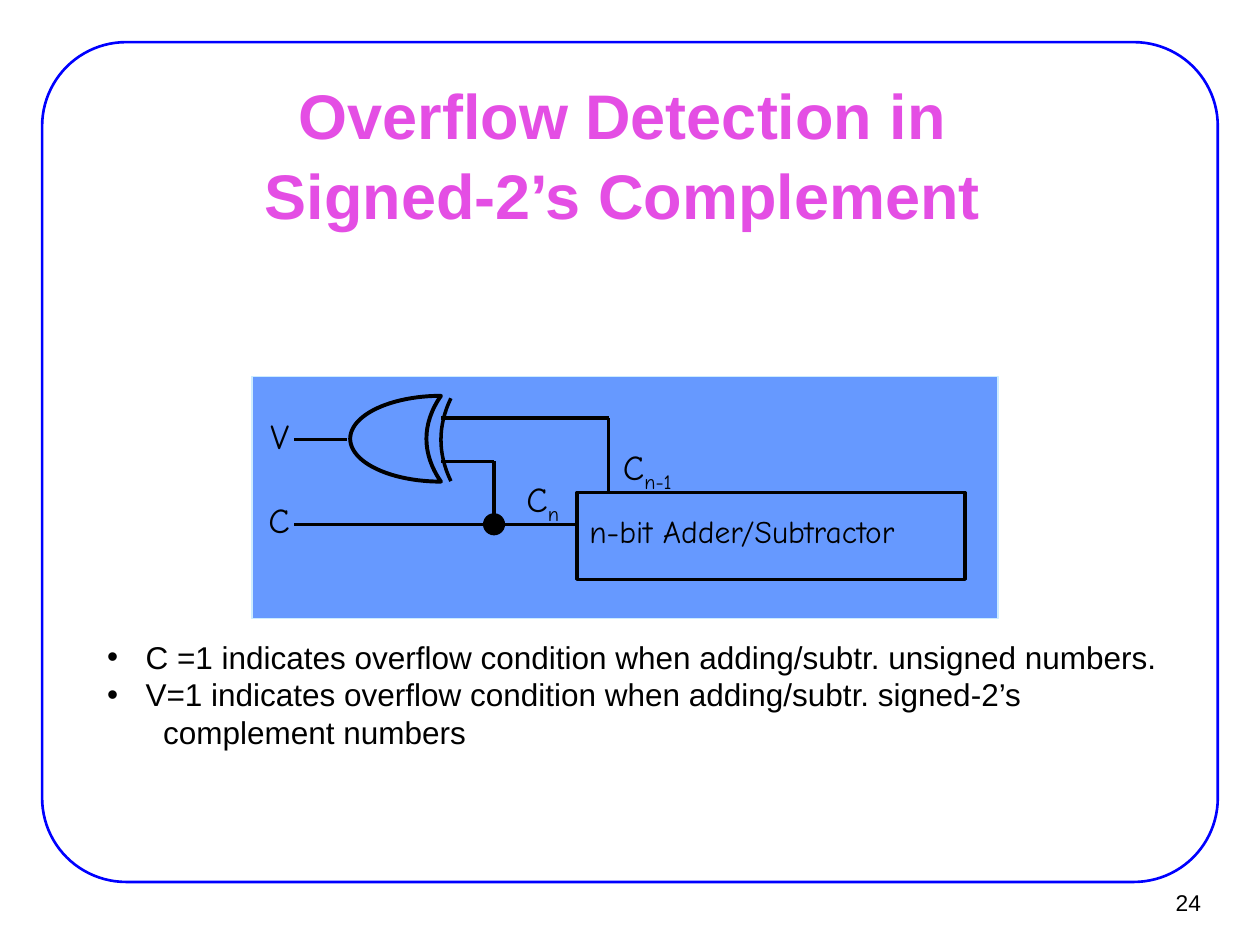
from lxml import etree
from pptx import Presentation
from pptx import util as u
from pptx.dml.color import RGBColor
from pptx.enum import shapes, text
from pptx.oxml import ns

BLACK = RGBColor(0x00, 0x00, 0x00)
BLUE = RGBColor(0x00, 0x00, 0xFF)
PANEL_BLUE = RGBColor(0x66, 0x99, 0xFF)
PALE_BLUE = RGBColor(0xCC, 0xEC, 0xFF)
PINK = RGBColor(0xE4, 0x4E, 0xE4)

BODY_FONT = "Arial"
DIAGRAM_FONT = "Comic Neue"

TOP_WIRE, LOW_WIRE, OUTPUT_WIRE, CARRY_WIRE = 8.43, 9.3, 8.86, 10.57
GATE_INPUT, LABEL_END, JUNCTION, ADDER_TAP = 8.89, 5.92, 9.96, 12.27
ADDER_LEFT, ADDER_TOP = 11.63, 9.93


def place(shape, left, top, width, height):
    box = {"left": left, "top": top, "width": width, "height": height}
    for name, value in box.items():
        setattr(shape, name, u.Cm(value))


def format_font(font, size, name=BODY_FONT, color=BLACK, bold=False):
    for key, value in {"size": u.Pt(size), "name": name, "bold": bold}.items():
        setattr(font, key, value)
    font.color.rgb = color


def style_line(shape, color, width):
    shape.line.color.rgb = color
    shape.line.width = u.Pt(width)


def add_preset(slide, kind, box, line, fill=None, adjustment=None):
    shape = slide.shapes.add_shape(kind, *[u.Cm(value) for value in box])
    shape.shadow.inherit = False
    if fill is None:
        shape.fill.background()
    else:
        shape.fill.solid()
        shape.fill.fore_color.rgb = fill
    if adjustment is not None:
        shape.adjustments[0] = adjustment
    style_line(shape, *line)
    return shape


def add_wire(slide, *ends):
    wire = slide.shapes.add_connector(
        shapes.MSO_CONNECTOR.STRAIGHT, *[u.Cm(value) for value in ends])
    style_line(wire, BLACK, 2)
    etree.SubElement(wire._element.spPr, ns.qn("a:effectLst"))


def add_gate_arc(slide):
    left, right, top, bottom, steps = 8.89, 9.09, 8.03, 9.7, 16
    points = []
    for step in range(steps + 1):
        across = 2 * step / steps - 1
        points.append((u.Cm(left + (right - left) * across ** 2),
                       u.Cm(top + (bottom - top) * step / steps)))
    builder = slide.shapes.build_freeform(*points[0])
    builder.add_line_segments(points[1:], close=False)
    arc = builder.convert_to_shape()
    arc.shadow.inherit = False
    arc.fill.background()
    style_line(arc, BLACK, 2)


def add_label(slide, box, wording, size, font=DIAGRAM_FONT, subscript="", wrap=False):
    label = slide.shapes.add_textbox(*[u.Cm(value) for value in box])
    label.text_frame.word_wrap = wrap
    paragraph = label.text_frame.paragraphs[0]
    for part in filter(None, (wording, subscript)):
        run = paragraph.add_run()
        run.text = part
        format_font(run.font, size, font)
    if subscript:
        run.font._element.set("baseline", "-25000")
    return label


def add_title(slide):
    title = slide.shapes.title
    place(title, 1.93, 1.75, 21.59, 2.64)
    frame = title.text_frame
    settings = {"word_wrap": True, "auto_size": text.MSO_AUTO_SIZE.NONE,
                "vertical_anchor": text.MSO_ANCHOR.MIDDLE}
    for name, value in settings.items():
        setattr(frame, name, value)
    paragraph = frame.paragraphs[0]
    paragraph.text = "Overflow Detection in \vSigned-2’s Complement "
    paragraph.alignment = text.PP_ALIGN.CENTER
    paragraph.line_spacing = 1.05
    for run in paragraph.runs:
        format_font(run.font, 36, color=PINK, bold=True)


def add_notes_list(slide):
    box = slide.shapes.add_textbox(u.Cm(1.91), u.Cm(12.73), u.Cm(23.29), u.Cm(2.54))
    frame = box.text_frame
    frame.word_wrap = True
    lines = [
        (" C =1 indicates overflow condition when adding/subtr. unsigned numbers.", True),
        (" V=1 indicates overflow condition when adding/subtr. signed-2’s", True),
        ("complement numbers", False),
    ]
    for index, (wording, bulleted) in enumerate(lines):
        paragraph = frame.add_paragraph() if index else frame.paragraphs[0]
        run = paragraph.add_run()
        run.text = wording
        format_font(run.font, 18)
        properties = paragraph._p.get_or_add_pPr()
        margin = u.Cm(0.6 if bulleted else 1.13)
        properties.set("marL", str(margin))
        properties.set("indent", str(-margin if bulleted else 0))
        if bulleted:
            etree.SubElement(properties, ns.qn("a:buFont"), typeface=BODY_FONT)
            etree.SubElement(properties, ns.qn("a:buChar"), char="•")
        else:
            etree.SubElement(properties, ns.qn("a:buNone"))


def add_circuit(slide):
    preset = shapes.MSO_SHAPE
    add_preset(slide, preset.RECTANGLE, (5.08, 7.59, 15.04, 4.88),
               (PALE_BLUE, 0.75), PANEL_BLUE)
    add_preset(slide, preset.RECTANGLE, (ADDER_LEFT, ADDER_TOP, 7.82, 1.75), (BLACK, 2))
    add_label(slide, (ADDER_LEFT, 10.19, 8.05, 1.14), "n-bit Adder/Subtractor", 18, wrap=True)
    add_preset(slide, preset.MOON, (7.06, 7.98, 1.83, 1.73), (BLACK, 2.25), adjustment=0.84)
    add_gate_arc(slide)
    wires = [
        (ADDER_TAP, TOP_WIRE, GATE_INPUT, TOP_WIRE),
        (ADDER_LEFT, CARRY_WIRE, LABEL_END, CARRY_WIRE),
        (ADDER_TAP, ADDER_TOP, ADDER_TAP, TOP_WIRE),
        (JUNCTION, CARRY_WIRE, JUNCTION, LOW_WIRE),
        (JUNCTION, LOW_WIRE, GATE_INPUT, LOW_WIRE),
        (6.99, OUTPUT_WIRE, LABEL_END, OUTPUT_WIRE),
    ]
    for wire in wires:
        add_wire(slide, *wire)
    dot = 0.42
    add_preset(slide, preset.OVAL, (JUNCTION - dot / 2, CARRY_WIRE - dot / 2, dot, dot),
               (BLACK, 0.75), BLACK)
    labels = [
        ((5.2, 8.23, 0.97, 1.1), "V", ""),
        ((5.16, 9.93, 0.94, 1.1), "C", ""),
        ((10.36, 9.5, 1.17, 1.24), "C", "n"),
        ((12.07, 8.86, 1.93, 1.1), " C", "n-1"),
    ]
    for box, wording, subscript in labels:
        add_label(slide, box, wording, 20, subscript=subscript)


def main():
    presentation = Presentation()
    presentation.slide_width, presentation.slide_height = u.Cm(25.4), u.Cm(19.05)
    slide = presentation.slides.add_slide(presentation.slide_layouts[5])
    add_preset(slide, shapes.MSO_SHAPE.ROUNDED_RECTANGLE, (0.85, 0.85, 23.7, 16.93),
               (BLUE, 1.5), adjustment=0.1)
    number = add_label(slide, (22.91, 17.73, 1.55, 0.94), "24", 13, BODY_FONT)
    number.text_frame.vertical_anchor = text.MSO_ANCHOR.MIDDLE
    number.text_frame.paragraphs[0].alignment = text.PP_ALIGN.RIGHT
    add_title(slide)
    add_circuit(slide)
    add_notes_list(slide)
    presentation.save("out.pptx")


if __name__ == "__main__":
    main()
